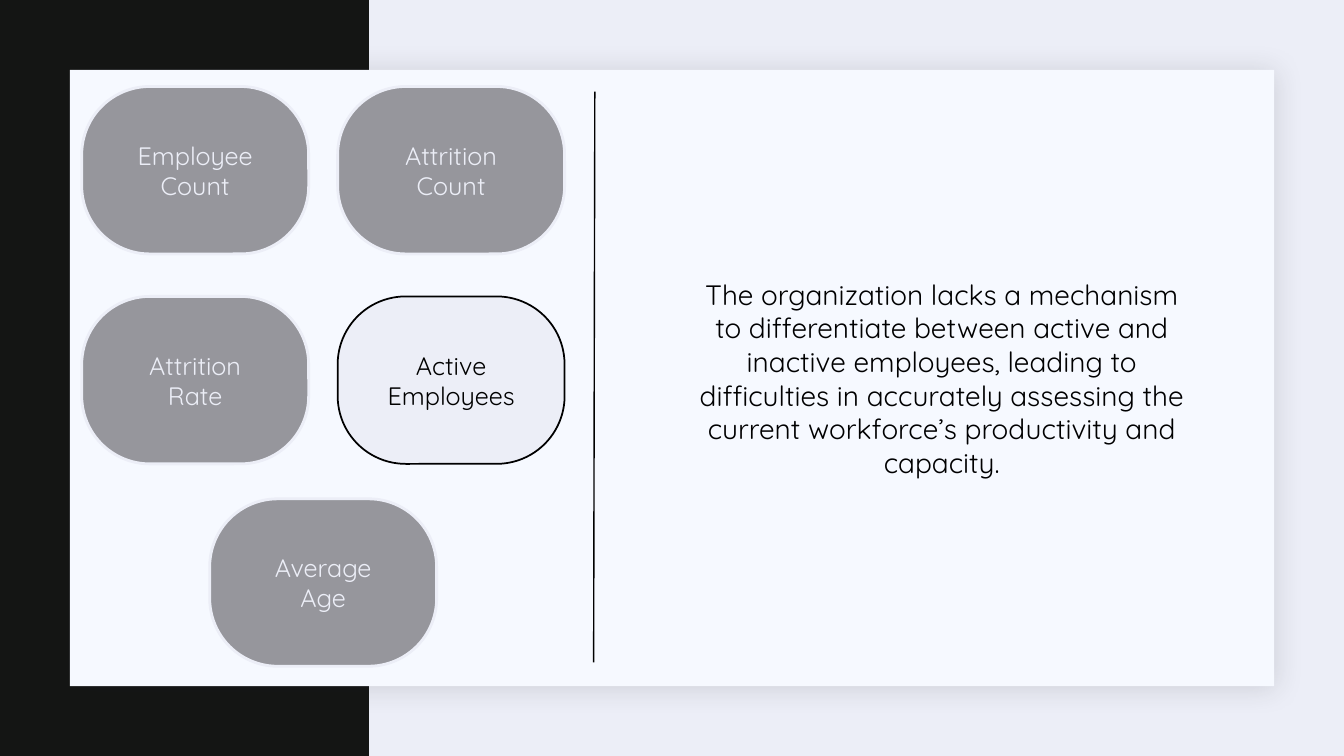
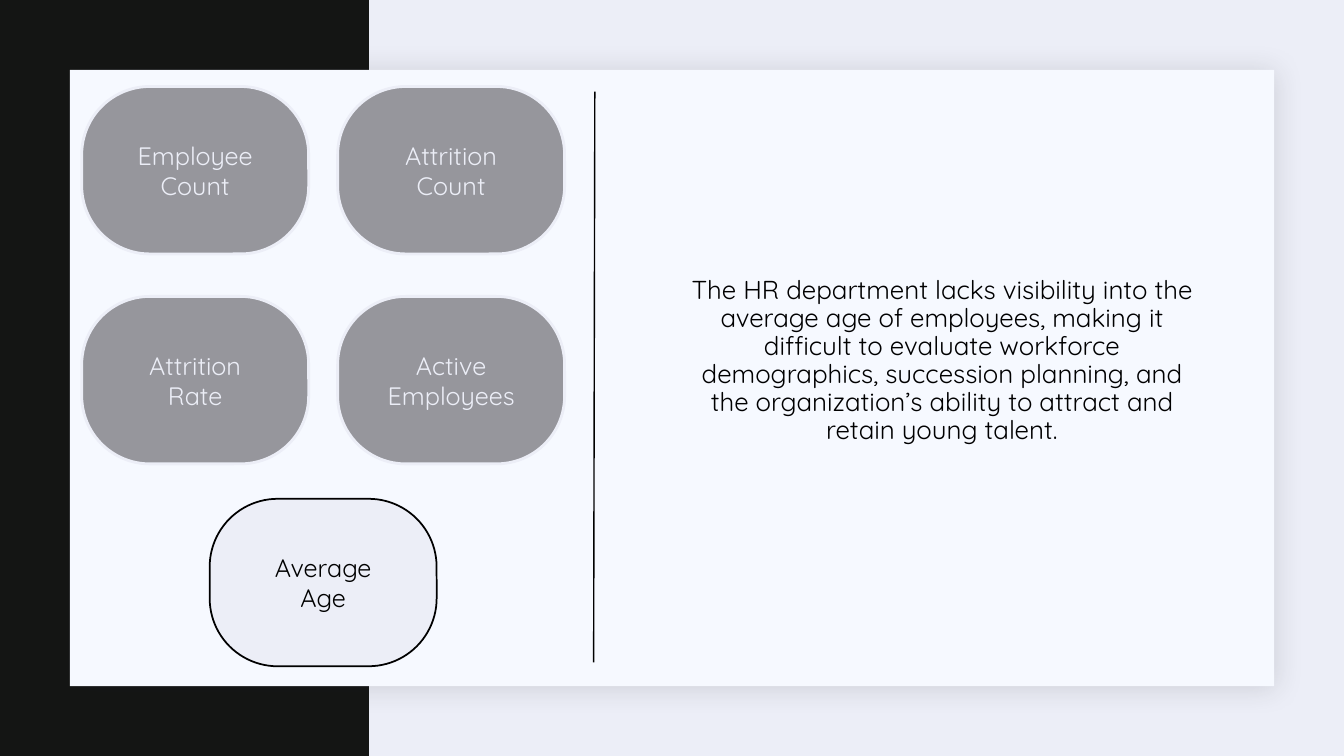
from collections import namedtuple

from lxml import etree
from pptx import Presentation
from pptx.dml.color import RGBColor
from pptx.enum.shapes import MSO_CONNECTOR, MSO_SHAPE
from pptx.enum.text import MSO_ANCHOR, PP_ALIGN
from pptx.oxml import parse_xml
from pptx.oxml.ns import nsdecls, qn
from pptx.util import Cm, Pt

RECT, PILL = MSO_SHAPE.RECTANGLE, MSO_SHAPE.ROUNDED_RECTANGLE
STRAIGHT = MSO_CONNECTOR.STRAIGHT
CENTER, TOP, MIDDLE = PP_ALIGN.CENTER, MSO_ANCHOR.TOP, MSO_ANCHOR.MIDDLE

FONT = "Quicksand"
INK, PALE, PANEL, BAND, MUTED, SHADOW = (
    "000000", "ECEEF7", "F6F9FF", "141514", "96969C", "1F2125")

# All lengths are in centimetres.
Box = namedtuple("Box", "left top width height")
SLIDE = Box(0, 0, 33.87, 19.05)
BAND_WIDTH = 9.3
MARGIN = 1.76
CARD = Box(MARGIN, MARGIN, SLIDE.width - 2 * MARGIN, SLIDE.height - 2 * MARGIN)

PILL_WIDTH, PILL_HEIGHT, PILL_ROUNDING = 5.72, 4.22, 0.406
COLUMN_START, COLUMN_STEP = 0.3, 6.45
ROW_TOPS = (0.42, 5.71, 10.81)
ACTIVE = "Active Employees"
AVERAGE = "Average\nAge"
METRICS = (  # label, column, row
    ("Employee\nCount", 0, 0),
    ("Attrition\nCount", 1, 0),
    ("Attrition\nRate", 0, 1),
    (ACTIVE, 1, 1),
    (AVERAGE, 0.5, 2),
)
PILL_STYLES = {  # selected: fill, line, line width, text
    False: (MUTED, PALE, 2, PALE),
    True: (PALE, INK, 1.25, INK),
}

PROBLEMS = (  # selected metric, statement, size, line spacing
    (ACTIVE,
     "The organization lacks a mechanism to differentiate between active and "
     "inactive employees, leading to difficulties in accurately assessing the "
     "current workforce’s productivity and capacity.", 20, 1.0),
    (AVERAGE,
     "The HR department lacks visibility into the average age of employees, "
     "making it difficult to evaluate workforce demographics, succession "
     "planning, and the organization’s ability to attract and retain young "
     "talent.", 18.5, 0.9),
)


def color(value):
    """Turn a hex string into a colour."""
    return RGBColor.from_string(value)


def apply_format(target, values):
    """Set every attribute named in values on target."""
    for name, value in values.items():
        setattr(target, name, value)


def add_block(slide, kind, box, fill):
    """Add a filled shape without line or shadow."""
    block = slide.shapes.add_shape(kind, *map(Cm, box))
    block.shadow.inherit = False
    block.fill.solid()
    block.fill.fore_color.rgb = color(fill)
    block.line.fill.background()
    return block


def write(frame, text, size, ink, frame_format, spacing=1.0):
    """Write centred paragraphs, one for each line of text."""
    apply_format(frame, {"word_wrap": True, **frame_format})
    frame.text = text
    for paragraph in frame.paragraphs:
        apply_format(paragraph, {"alignment": CENTER, "line_spacing": spacing})
        apply_format(paragraph.font, {"name": FONT, "size": Pt(size)})
        paragraph.font.color.rgb = color(ink)


def add_backdrop(slide, card):
    """Draw the dark band and the card with its soft shadow."""
    add_block(slide, RECT, Box(0, 0, BAND_WIDTH, SLIDE.height), BAND)
    panel = add_block(slide, RECT, card, PANEL)
    effects = panel.element.spPr.find(qn("a:effectLst"))
    effects.append(parse_xml(
        f'<a:outerShdw {nsdecls("a")} blurRad="{Pt(20)}" dist="{Pt(2)}" '
        f'dir="2700000" algn="tl" rotWithShape="0"><a:srgbClr val="{SHADOW}">'
        '<a:alpha val="15000"/></a:srgbClr></a:outerShdw>'))


def add_metrics(slide, card, selected):
    """Lay out the metric pills in the card and highlight the selected one."""
    for label, column, row in METRICS:
        fill, outline, weight, ink = PILL_STYLES[label == selected]
        box = Box(card.left + COLUMN_START + column * COLUMN_STEP,
                  card.top + ROW_TOPS[row], PILL_WIDTH, PILL_HEIGHT)
        pill = add_block(slide, PILL, box, fill)
        pill.adjustments[0] = PILL_ROUNDING
        pill.line.color.rgb = color(outline)
        pill.line.width = Pt(weight)
        write(pill.text_frame, label, 18, ink, {"vertical_anchor": MIDDLE})


def add_divider(slide, card):
    """Draw the line between the metrics and the statement."""
    divider = slide.shapes.add_connector(
        STRAIGHT, Cm(card.left + 13.23), Cm(card.top + 0.55),
        Cm(card.left + 13.2), Cm(card.top + 14.93))
    divider.line.color.rgb = color(INK)
    divider.line.width = Pt(1)
    etree.SubElement(divider.element.spPr, qn("a:effectLst"))


def add_statement(slide, card, text, size, spacing):
    """Write the problem statement in the right part of the card."""
    box = Box(card.left + 15.41, card.top + 5.1, 12.88, 5.54)
    statement = slide.shapes.add_textbox(*map(Cm, box))
    write(statement.text_frame, text, size, INK,
          {"vertical_anchor": TOP, "margin_left": Cm(0.25), "margin_right": 0},
          spacing)


def add_problem_slide(deck, selected, text, size, spacing):
    """Add one slide that states the problem behind a metric."""
    slide = deck.slides.add_slide(deck.slide_layouts[6])
    add_backdrop(slide, CARD)
    add_metrics(slide, CARD, selected)
    add_divider(slide, CARD)
    add_statement(slide, CARD, text, size, spacing)


def main():
    """Build and save the deck."""
    deck = Presentation()
    apply_format(deck, {"slide_width": Cm(SLIDE.width),
                        "slide_height": Cm(SLIDE.height)})
    background = deck.slide_master.background.fill
    background.solid()
    background.fore_color.rgb = color(PALE)
    for problem in PROBLEMS:
        add_problem_slide(deck, *problem)
    deck.save("out.pptx")


main()
